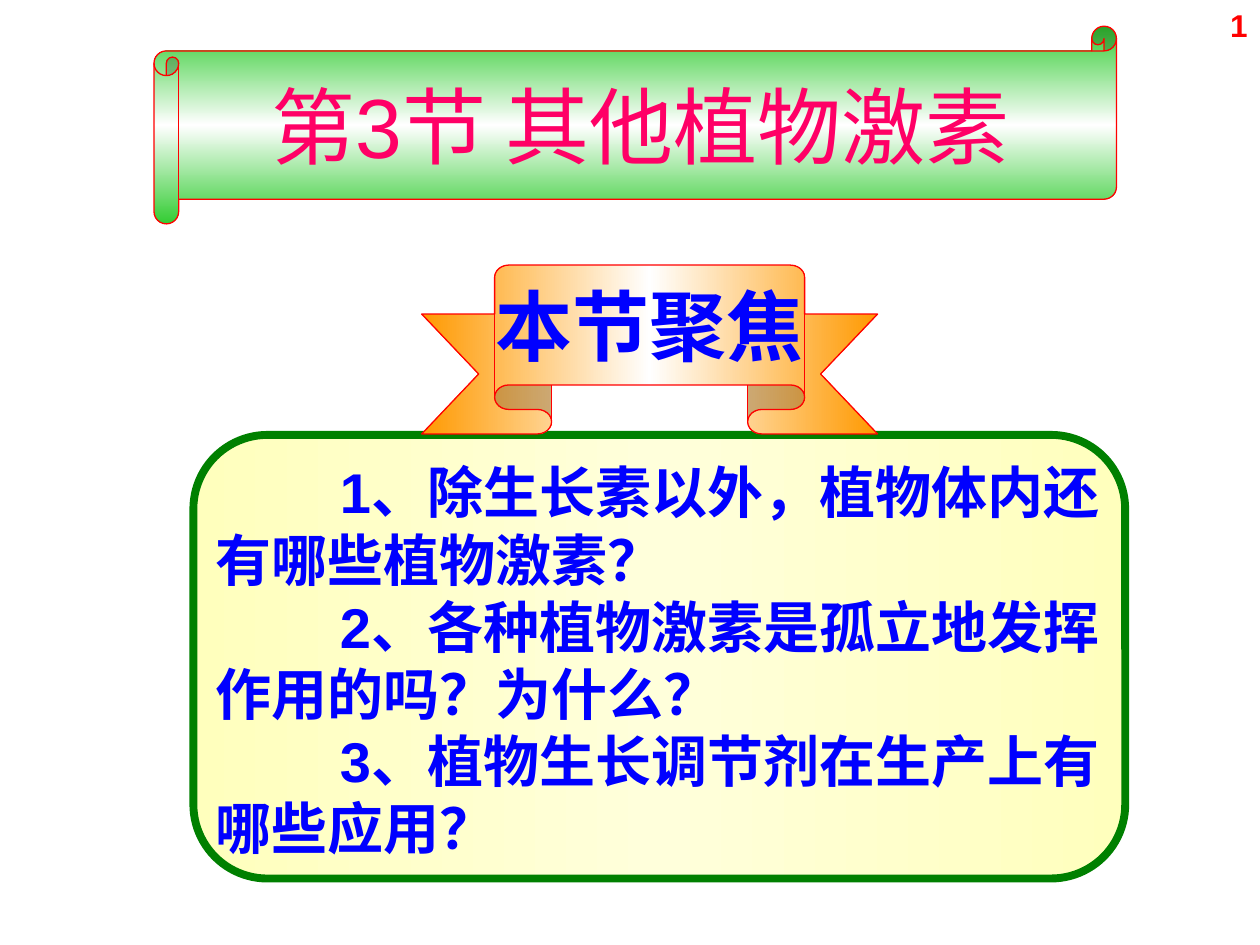
import copy

from pptx import Presentation
from pptx import util as u
from pptx.dml.color import RGBColor
from pptx.enum import shapes, text

GREEN, ORANGE, RED, BLUE = "33CC33", "FF9900", "FF0000", "0000FF"
QUESTIONS = [
    "1、除生长素以外，植物体内还有哪些植物激素？",
    "2、各种植物激素是孤立地发挥作用的吗？为什么？",
    "3、植物生长调节剂在生产上有哪些应用？",
]


def color(hex_code):
    return RGBColor.from_string(hex_code)


def write(para, words, size, fill, bold=False, align=text.PP_ALIGN.LEFT, indent=0):
    """Fill one paragraph, with a first-line indent and no bullet."""
    props = para._p.get_or_add_pPr()
    props.set("marL", "0")
    props.set("indent", str(u.Pt(indent)))
    props.insert_element_before(props.makeelement(
        "{http://schemas.openxmlformats.org/drawingml/2006/main}buNone", {}),
        "a:tabLst", "a:defRPr", "a:extLst")
    para.alignment = align
    para.space_before = u.Pt(0)
    span = para.add_run()
    span.text = words
    span.font.name = "Arial"
    span.font.size = u.Pt(size)
    span.font.bold = bold
    span.font.color.rgb = color(fill)


class FocusSlide:
    """Holds the current slide and draws its elements, in points."""

    def __init__(self, page):
        self.page = page

    def frame(self, box, anchor=text.MSO_ANCHOR.TOP, wrap=True):
        frame = box.text_frame
        frame.word_wrap = wrap
        frame.auto_size = text.MSO_AUTO_SIZE.NONE
        frame.vertical_anchor = anchor
        return frame

    def placeholder(self, box, left, top, width, height, anchor):
        """Move a placeholder and bring it to the front."""
        box.left, box.top = u.Pt(left), u.Pt(top)
        box.width, box.height = u.Pt(width), u.Pt(height)
        box._element.getparent().append(box._element)
        return self.frame(box, anchor)

    def label(self, left, top, width, height):
        box = self.page.shapes.add_textbox(*map(u.Pt, (left, top, width, height)))
        return self.frame(box)

    def shape(self, kind, place, adjustments, edge, middle, angle, line, weight):
        """Add a shape whose gradient runs edge, middle, edge."""
        box = self.page.shapes.add_shape(kind, *map(u.Pt, place))
        box.shadow.inherit = False
        for index, value in enumerate(adjustments):
            box.adjustments[index] = value
        box.fill.gradient()
        box.fill.gradient_angle = angle
        first = box.fill.gradient_stops[0]._gs
        first.addnext(copy.deepcopy(first))
        stops = zip(box.fill.gradient_stops, (0, 0.5, 1), (edge, middle, edge))
        for stop, position, fill in stops:
            stop.position = position
            stop.color.rgb = color(fill)
        box.line.color.rgb = color(line)
        box.line.width = u.Pt(weight)
        return box


def main():
    deck = Presentation()
    deck.slide_width, deck.slide_height = u.Pt(720), u.Pt(540)
    page = deck.slides.add_slide(deck.slide_layouts[1])
    slide = FocusSlide(page)
    kinds = shapes.MSO_SHAPE
    middle, center = text.MSO_ANCHOR.MIDDLE, text.PP_ALIGN.CENTER

    number = slide.label(552, 0, 168, 37.5)
    write(number.paragraphs[0], "1", 18, RED, bold=True, align=text.PP_ALIGN.RIGHT)

    slide.shape(kinds.HORIZONTAL_SCROLL, (88, 15, 550, 113), [0.125],
                GREEN, "FFFFFF", 90, RED, 0.75)
    title = slide.placeholder(page.shapes.title, 91, 15, 550, 113, middle)
    write(title.paragraphs[0], "第3节 其他植物激素", 48, "FF0066", align=center)

    slide.shape(kinds.ROUNDED_RECTANGLE, (110.5, 248.5, 532.5, 253.5), [0.167],
                "FFFFBD", "FFFFDB", 0, "008000", 4.5)
    body = slide.placeholder(page.placeholders[1], 116, 258, 521, 237.5,
                             text.MSO_ANCHOR.TOP)
    for index, question in enumerate(QUESTIONS):
        para = body.add_paragraph() if index else body.paragraphs[0]
        write(para, question, 32, BLUE, bold=True, indent=71)

    ribbon = slide.shape(kinds.UP_RIBBON, (241, 151.5, 260.5, 96.5), [0.29, 0.68],
                         ORANGE, "FFFFFF", 0, RED, 0.75)
    heading = slide.frame(ribbon, middle, wrap=False)
    write(heading.paragraphs[0], "本节聚焦", 44, BLUE, bold=True, align=center)

    deck.save("out.pptx")


if __name__ == "__main__":
    main()
